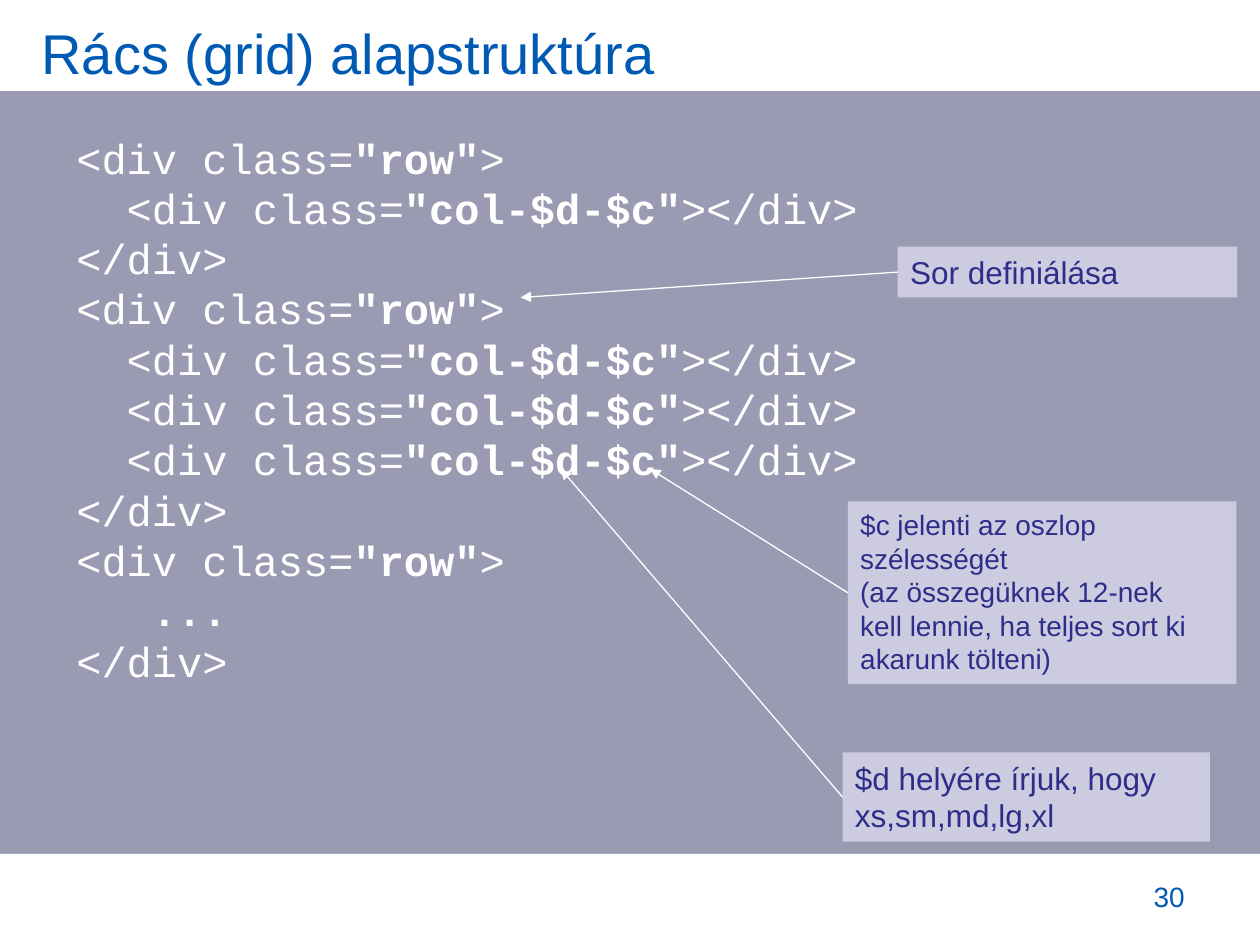
from lxml.etree import SubElement
from pptx import Presentation
from pptx.dml.color import RGBColor
from pptx.enum.shapes import MSO_CONNECTOR, MSO_SHAPE
from pptx.enum.text import MSO_ANCHOR, MSO_AUTO_SIZE, PP_ALIGN
from pptx.oxml.ns import qn
from pptx.util import Pt

WHITE, BLUE, NAVY, LILAC, GREY = "FFFFFF", "005AB4", "2D2D8A", "CCCBDF", "9B9AB3"

ROW = [[("<div class=", False), ('"row"', True), (">", False)]]
COL = [[("  <div class=", False), ('"col-$d-$c"', True), ("></div>", False)]]
DOTS = [[("   ...", True)]]
END = [[("</div>", False)]]
CODE = ROW + COL + END + ROW + COL * 3 + END + ROW + DOTS + END

NOTES = [
    ((484.5, 286.5, 222, 104.5), 16,
     [["$c jelenti az oszlop szélességét", "(az összegüknek 12-nek"],
      ["kell lennie, ha teljes sort ki akarunk tölteni)"]], (371.5, 268)),
    ((513, 141, 194, 29), 18, [["Sor definiálása"]], (297.5, 170)),
    ((481.5, 430, 210, 51), 18,
     [["$d helyére írjuk, hogy xs,sm,md,lg,xl"]], (320.5, 268)),
]


def rgb(code):
    """Turn a hex string into a colour."""
    return RGBColor.from_string(code)


def write(para, text, size, color, font="Arial", bold=False):
    """Add one formatted run to a paragraph."""
    run = para.add_run()
    run.text = text
    run.font.name, run.font.size, run.font.bold = font, Pt(size), bold
    run.font.color.rgb = rgb(color)


def block(slide, box, fill):
    """Add a plain filled rectangle."""
    shape = slide.shapes.add_shape(MSO_SHAPE.RECTANGLE, *map(Pt, box))
    shape.shadow.inherit = False
    shape.fill.solid()
    shape.fill.fore_color.rgb = rgb(fill)
    shape.line.fill.background()
    return shape


def label(slide, box):
    """Add a wrapping text box and return its frame."""
    frame = slide.shapes.add_textbox(*map(Pt, box)).text_frame
    frame.word_wrap = True
    return frame


def head(slide, box):
    """Place and fill the title."""
    title = slide.shapes.title
    title.left, title.top, title.width, title.height = map(Pt, box)
    frame = title.text_frame
    frame.auto_size = MSO_AUTO_SIZE.NONE
    frame.vertical_anchor = MSO_ANCHOR.MIDDLE
    para = frame.paragraphs[0]
    para.alignment = PP_ALIGN.LEFT
    write(para, "Rács (grid) alapstruktúra", 32, BLUE)


def code(slide, box):
    """Write the code listing with its bold values."""
    para = label(slide, box).paragraphs[0]
    para.line_spacing, para.space_before = Pt(28.75), Pt(4.8)
    for i, line in enumerate(CODE):
        if i:
            para.add_line_break()
        for text, bold in line:
            write(para, text, 24, WHITE, "Courier New", bold)


def arrow(slide, shape, tip):
    """Draw an arrow from a shape's left side to a point."""
    line = slide.shapes.add_connector(MSO_CONNECTOR.STRAIGHT, 0, 0, *map(Pt, tip))
    line.begin_connect(shape, 1)
    line.line.color.rgb = rgb(WHITE)
    line.line.width = Pt(0.75)
    SubElement(line.line._get_or_add_ln(), qn("a:tailEnd"), type="triangle")
    SubElement(line._element.spPr, qn("a:effectLst"))


def note(slide, box, size, paras, tip):
    """Add a note box and the arrow to what it explains."""
    shape = block(slide, box, LILAC)
    frame = shape.text_frame
    frame.word_wrap = True
    frame.auto_size = MSO_AUTO_SIZE.SHAPE_TO_FIT_TEXT
    frame.vertical_anchor = MSO_ANCHOR.TOP
    for i, lines in enumerate(paras):
        para = frame.add_paragraph() if i else frame.paragraphs[0]
        para.alignment = PP_ALIGN.LEFT
        for j, text in enumerate(lines):
            if j:
                para.add_line_break()
            write(para, text, size, NAVY)
    arrow(slide, shape, tip)


def foot(slide, box):
    """Write the page number."""
    frame = label(slide, box)
    frame.vertical_anchor = MSO_ANCHOR.BOTTOM
    para = frame.paragraphs[0]
    para.alignment = PP_ALIGN.RIGHT
    write(para, "30", 16, BLUE)


def main():
    """Build and save the slide."""
    deck = Presentation()
    deck.slide_width, deck.slide_height = Pt(720), Pt(540)
    slide = deck.slides.add_slide(deck.slide_layouts[5])
    slide.background.fill.solid()
    slide.background.fill.fore_color.rgb = rgb(GREY)
    for top in (0, 488):
        band = block(slide, (0, top, 720, 52), WHITE)
        slide.shapes._spTree.remove(band._element)
        slide.shapes._spTree.insert(2 + (top > 0), band._element)
    head(slide, (16.5, 6, 648, 48))
    code(slide, (36.5, 72, 655, 396))
    foot(slide, (516, 488, 168, 37.5))
    for item in NOTES:
        note(slide, *item)
    deck.save("out.pptx")


if __name__ == "__main__":
    main()
